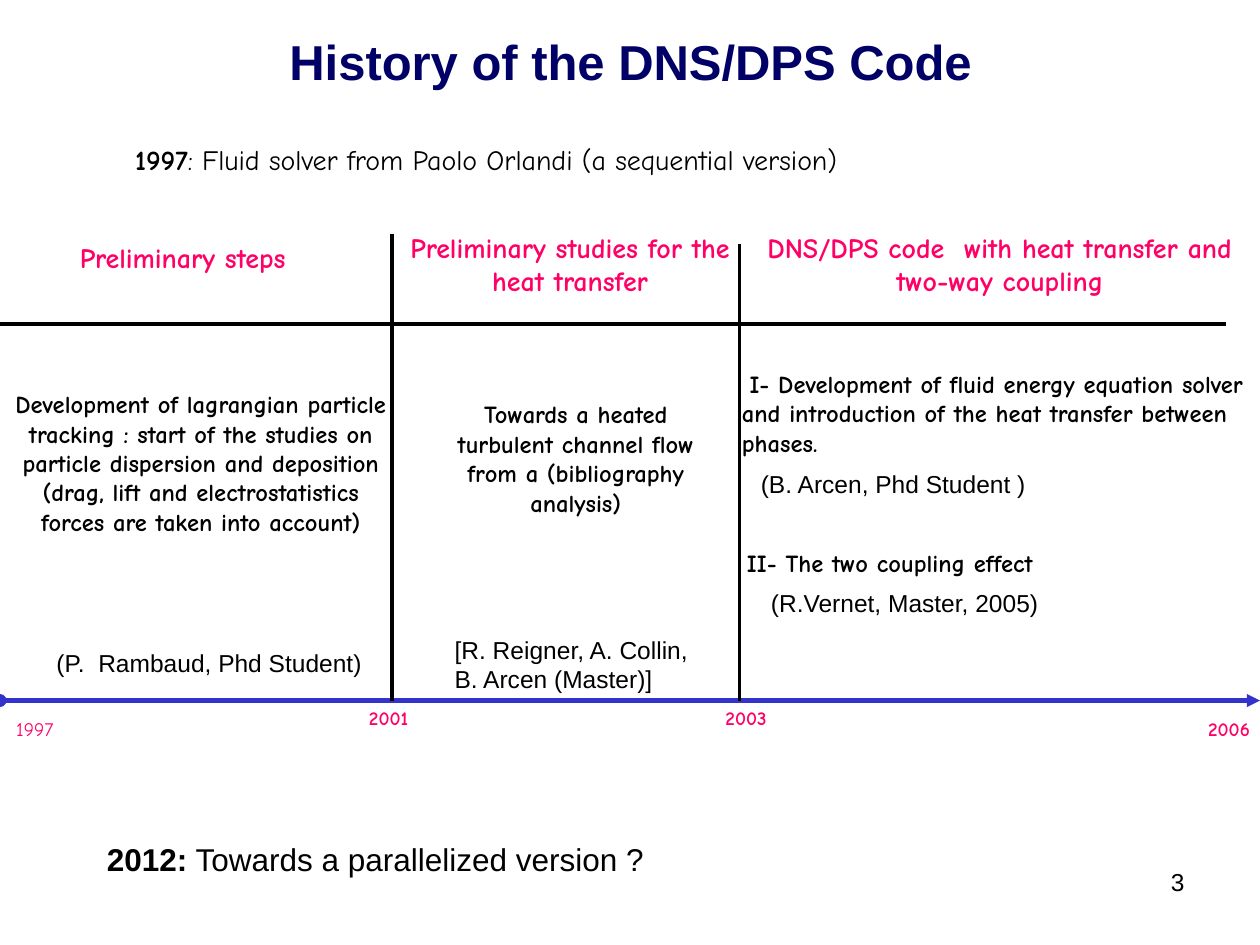
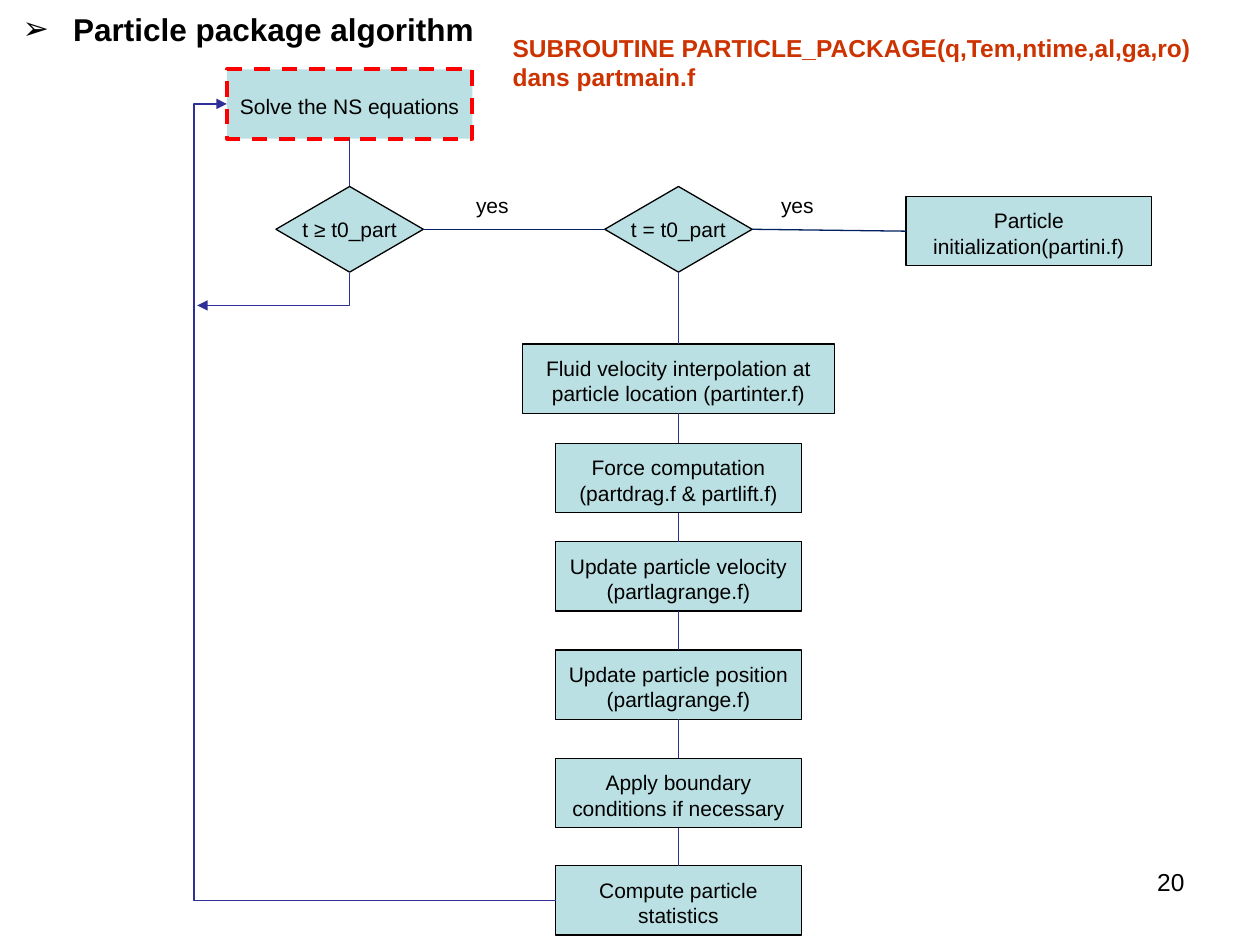
"""Build two slides on a direct numerical simulation code: its history and its particle algorithm."""
from dataclasses import dataclass, field
from typing import Any, NamedTuple

from lxml.etree import SubElement
from pptx import Presentation
from pptx.dml.color import RGBColor
from pptx.enum.dml import MSO_LINE_DASH_STYLE as Dash
from pptx.enum.shapes import MSO_CONNECTOR as Connector, MSO_SHAPE as Preset
from pptx.enum.text import MSO_ANCHOR as Anchor, MSO_AUTO_SIZE as AutoSize, PP_ALIGN as Align
from pptx.oxml.ns import qn
from pptx.util import Inches, Pt

SLIDE_WIDTH, SLIDE_HEIGHT = Inches(10), Inches(7.5)
COLUMNS, ROWS = 100, 75
TITLE_ONLY = 5
BLACK, NAVY, PINK, BLUE = "000000", "000066", "FF0066", "3333CC"
RUST, RED, PALE_TEAL, INDIGO, DARK_BLUE = "CC3300", "FF0000", "BBE0E3", "2F2F98", "002060"
HAND = "Comic Neue"

HEADING = dict(font=HAND, size=16, color=PINK, bold=True, align=Align.CENTER)
NOTE = dict(font=HAND, size=14, bold=True)
CENTERED_NOTE = dict(NOTE, align=Align.CENTER)
YEAR = dict(font=HAND, size=11, color=PINK, bold=True, wrap=False)
CREDIT = dict(size=14)
LOOSE_CREDIT = dict(size=14, wrap=False)
ANSWER = dict(size=12)


class Area(NamedTuple):
    left: float
    top: float
    width: float
    height: float

    @property
    def middle(self) -> float:
        return self.top + self.height / 2

    @property
    def bottom(self) -> float:
        return self.top + self.height

    @property
    def right(self) -> float:
        return self.left + self.width


@dataclass
class Label:
    text: str
    area: Area
    style: dict[str, Any] = field(default_factory=dict)


@dataclass
class Node:
    text: str
    area: Area
    preset: Preset = Preset.RECTANGLE
    line: str = BLACK
    weight: float = 0.75
    dash: Dash | None = None


AXIS_ROW = 55.6
DIVIDERS = [(31.1, 18.6), (58.7, 19.4)]

HISTORY_LABELS = [
    Label(": Fluid solver from Paolo Orlandi (a sequential version)", Area(9.6, 10.8, 58, 3.7),
          dict(font=HAND, size=16, lead="1997", align=Align.CENTER, wrap=False)),
    Label("Preliminary steps", Area(5.3, 18.6, 18.4, 3.7), dict(HEADING, wrap=False)),
    Label("Preliminary studies for the heat transfer", Area(30.3, 17.8, 29.9, 6.4), HEADING),
    Label("DNS/DPS code  with heat transfer and two-way coupling", Area(58.7, 17.8, 41.3, 6.4), HEADING),
    Label("Development of lagrangian particle tracking : start of the studies on particle dispersion "
          "and deposition (drag, lift and electrostatistics forces are taken into account)",
          Area(0, 30.4, 31.9, 12.7), CENTERED_NOTE),
    Label("Towards a heated turbulent channel flow from a (bibliography analysis)",
          Area(34.3, 31.2, 22.8, 10.4), CENTERED_NOTE),
    Label("I- Development of fluid energy equation solver and introduction of the heat transfer "
          "between phases.", Area(57.9, 28.8, 42.1, 8), dict(NOTE, indent=0.06)),
    Label("II- The two coupling effect", Area(58.3, 43, 36.2, 3.4), NOTE),
    Label("(P.  Rambaud, Phd Student)", Area(3.5, 50.9, 28.4, 3.4), CREDIT),
    Label("[R. Reigner, A. Collin,\nB. Arcen (Master)]", Area(35.1, 49.9, 21.3, 5.7), LOOSE_CREDIT),
    Label("(B. Arcen, Phd Student )", Area(59.4, 36.7, 23.1, 3.4), LOOSE_CREDIT),
    Label("(R.Vernet, Master, 2005)", Area(60.2, 46.2, 23.4, 3.4), LOOSE_CREDIT),
    Label("1997", Area(0.3, 56.4, 4.9, 2.9), dict(YEAR, bold=False)),
    Label("2001", Area(28.3, AXIS_ROW, 5.1, 2.9), YEAR),
    Label("2003", Area(56.6, AXIS_ROW, 5.3, 2.9), YEAR),
    Label("2006", Area(94.9, 56.4, 5.3, 2.9), YEAR),
    Label(" Towards a parallelized version ?", Area(7.5, 66.2, 44.9, 4),
          dict(size=18, lead="2012:", wrap=False)),
]

BOX_WIDTH, BOX_HEIGHT = 19.5, 5.5
FLOW_CENTER, ENTRY_CENTER = 53.85, 27.75
DIAMOND_WIDTH, DIAMOND_HEIGHT, DIAMOND_TOP = 11.7, 6.8, 14.8


def centered(center: float, top: float, width: float = BOX_WIDTH, height: float = BOX_HEIGHT) -> Area:
    """Return an area centred on a column."""
    return Area(center - width / 2, top, width, height)


def decision(text: str, center: float) -> Node:
    """Return a decision diamond in the test row."""
    area = centered(center, DIAMOND_TOP, DIAMOND_WIDTH, DIAMOND_HEIGHT)
    return Node(text, area, Preset.FLOWCHART_DECISION)


SOLVE = Node("Solve the NS equations", centered(ENTRY_CENTER, 5.5), line=RED, weight=2.25, dash=Dash.DASH)
STARTED = decision("t ≥ t0_part", ENTRY_CENTER)
FIRST_STEP = decision("t = t0_part", FLOW_CENTER)
INITIALIZE = Node("Particle initialization(partini.f)", Area(71.9, 15.6, BOX_WIDTH, BOX_HEIGHT))
STEPS = [
    Node("Fluid velocity interpolation at particle location (partinter.f)", centered(FLOW_CENTER, 27.3, 24.8)),
    Node("Force computation (partdrag.f & partlift.f)", centered(FLOW_CENTER, 35.2)),
    Node("Update particle velocity\n(partlagrange.f)", centered(FLOW_CENTER, 43)),
    Node("Update particle position\n(partlagrange.f)", centered(FLOW_CENTER, 51.6)),
    Node("Apply boundary conditions if necessary", centered(FLOW_CENTER, 60.2)),
    Node("Compute particle statistics", centered(FLOW_CENTER, 68.7)),
]

ALGORITHM_LABELS = [
    Label("SUBROUTINE PARTICLE_PACKAGE(q,Tem,ntime,al,ga,ro)\ndans partmain.f", Area(39.7, 2.1, 56.3, 5.7),
          dict(size=14, color=RUST, bold=True, wrap=False)),
    Label("yes", Area(36.8, 14.8, 6.3, 3), ANSWER),
    Label("yes", Area(61, 14.8, 6.2, 3), ANSWER),
]


def across(columns: float) -> int:
    """Turn grid columns into a length."""
    return int(SLIDE_WIDTH * columns / COLUMNS)


def down(rows: float) -> int:
    """Turn grid rows into a length."""
    return int(SLIDE_HEIGHT * rows / ROWS)


def place(area: Area) -> tuple[int, int, int, int]:
    """Turn a grid area into left, top, width and height."""
    return across(area.left), down(area.top), across(area.width), down(area.height)


def rgb(color: str) -> RGBColor:
    """Turn a hex string into a colour."""
    return RGBColor.from_string(color)


def write_text(frame, text: str, *, lead: str = "", font: str = "Arial", size: float = 12,
               color: str = BLACK, bold: bool = False, align: Align = Align.LEFT,
               anchor: Anchor = Anchor.TOP, wrap: bool = True, indent: float = 0,
               margin: float = 0, bullet: str = "") -> None:
    """Fill a text frame, one paragraph a line, with an optional bold lead."""
    frame.word_wrap = wrap
    frame.auto_size = AutoSize.NONE
    frame.vertical_anchor = anchor
    for index, line in enumerate(text.split("\n")):
        paragraph = frame.paragraphs[0] if index == 0 else frame.add_paragraph()
        paragraph.alignment = align
        properties = paragraph._p.get_or_add_pPr()
        properties.set("marL", str(Inches(margin)))
        properties.set("indent", str(Inches(indent)))
        if bullet:
            SubElement(SubElement(properties, qn("a:buClr")), qn("a:srgbClr"), val=color)
            SubElement(properties, qn("a:buFont"), typeface=font)
            SubElement(properties, qn("a:buChar"), char=bullet)
        for piece, strong in ((lead, True), (line, bold)):
            if piece:
                run = paragraph.add_run()
                run.text = piece
                run.font.name, run.font.size, run.font.bold = font, Pt(size), strong
                run.font.color.rgb = rgb(color)


def draw_label(slide, label: Label) -> None:
    """Draw a text box."""
    write_text(slide.shapes.add_textbox(*place(label.area)).text_frame, label.text, **label.style)


def draw_node(slide, node: Node):
    """Draw a flow chart shape and return it."""
    shape = slide.shapes.add_shape(node.preset, *place(node.area))
    shape.shadow.inherit = False
    shape.fill.solid()
    shape.fill.fore_color.rgb = rgb(PALE_TEAL)
    shape.line.color.rgb = rgb(node.line)
    shape.line.width = Pt(node.weight)
    if node.dash:
        shape.line.dash_style = node.dash
    boxed = node.preset == Preset.RECTANGLE
    write_text(shape.text_frame, node.text, align=Align.CENTER, anchor=Anchor.MIDDLE, wrap=boxed)
    if boxed:
        shape.text_frame.margin_top = Inches(0.08)
    return shape


def style_line(connector, color: str, weight: float, head: str = "", tail: str = "") -> None:
    """Colour a connector, drop its shadow and set its ends."""
    connector.line.color.rgb = rgb(color)
    connector.line.width = Pt(weight)
    line = connector.line._get_or_add_ln()
    for tag, kind in (("a:headEnd", head), ("a:tailEnd", tail)):
        if kind:
            SubElement(line, qn(tag), type=kind)
    SubElement(connector._element.spPr, qn("a:effectLst"))


def draw_line(slide, start: tuple[float, float], end: tuple[float, float], color: str = INDIGO,
              weight: float = 0.75, **ends: str) -> None:
    """Draw a straight line between two grid points."""
    connector = slide.shapes.add_connector(
        Connector.STRAIGHT, across(start[0]), down(start[1]), across(end[0]), down(end[1]))
    style_line(connector, color, weight, **ends)


def draw_elbow(slide, area: Area, preset: str, turn: int, begin: tuple, end: tuple = (),
               bend: float | None = None) -> None:
    """Draw a turned elbow arrow glued to shapes at the given sites."""
    connector = slide.shapes.add_connector(Connector.ELBOW, 0, 0, 1, 1)
    connector.begin_connect(*begin)
    if end:
        connector.end_connect(*end)
    connector.left, connector.top, connector.width, connector.height = place(area)
    transform = connector._element.spPr.find(qn("a:xfrm"))
    for name, value in (("rot", turn * 60000), ("flipH", 0), ("flipV", 0)):
        transform.set(name, str(value))
    geometry = connector._element.spPr.find(qn("a:prstGeom"))
    geometry.set("prst", preset)
    if bend is not None:
        guides = geometry.find(qn("a:avLst"))
        SubElement(guides, qn("a:gd"), name="adj1", fmla=f"val {round(bend * 100000)}")
    style_line(connector, INDIGO, 0.75, tail="triangle")


def add_page(presentation, title: str, area: Area, number: int, **style: Any):
    """Add a slide with its title and page number."""
    slide = presentation.slides.add_slide(presentation.slide_layouts[TITLE_ONLY])
    heading = slide.shapes.title
    heading.left, heading.top, heading.width, heading.height = place(area)
    write_text(heading.text_frame, title, bold=True, anchor=Anchor.MIDDLE, **style)
    draw_label(slide, Label(str(number), Area(71.7, 68.3, 23.3, 5.2), dict(size=14, align=Align.RIGHT)))
    return slide


def build_history(presentation) -> None:
    """Build the timeline of the code."""
    slide = add_page(presentation, "History of the DNS/DPS Code", Area(3.5, 2.1, 93.1, 5.5), 3,
                     size=28, color=NAVY, align=Align.CENTER)
    draw_line(slide, (0, AXIS_ROW), (COLUMNS, AXIS_ROW), BLUE, 2.5, head="oval", tail="triangle")
    for column, top in DIVIDERS:
        draw_line(slide, (column, top), (column, AXIS_ROW), BLACK, 2)
    draw_line(slide, (0, 25.7), (97.3, 25.7), BLACK, 2)
    for label in HISTORY_LABELS:
        draw_label(slide, label)


def build_algorithm(presentation) -> None:
    """Build the flow chart of the particle package."""
    slide = add_page(presentation, "Particle package algorithm", Area(0.8, -0.8, 39.8, 6.2), 20,
                     size=18, bullet="➢", margin=0.4, indent=-0.4)
    solve, started = draw_node(slide, SOLVE), draw_node(slide, STARTED)
    draw_node(slide, FIRST_STEP)
    draw_node(slide, INITIALIZE)
    statistics = [draw_node(slide, step) for step in STEPS][-1]
    flow = [FIRST_STEP, *STEPS]
    for center, upper, lower in [(ENTRY_CENTER, SOLVE, STARTED),
                                 *((FLOW_CENTER, *pair) for pair in zip(flow, flow[1:]))]:
        draw_line(slide, (center, upper.area.bottom), (center, lower.area.top))
    for source, target in [(STARTED, FIRST_STEP), (FIRST_STEP, INITIALIZE)]:
        draw_line(slide, (source.area.right, source.area.middle),
                  (target.area.left, target.area.middle), DARK_BLUE)
    draw_elbow(slide, Area(20.4, 16.9, 2.6, 12.1), "bentConnector2", 90, (started, 2))
    draw_elbow(slide, Area(18, 8.25, 26.1, 63.2), "bentConnector3", 180,
               (statistics, 1), (solve, 1), bend=1.1)
    for label in ALGORITHM_LABELS:
        draw_label(slide, label)


def main() -> None:
    """Build and save the presentation."""
    presentation = Presentation()
    presentation.slide_width, presentation.slide_height = SLIDE_WIDTH, SLIDE_HEIGHT
    build_history(presentation)
    build_algorithm(presentation)
    presentation.save("out.pptx")


if __name__ == "__main__":
    main()
